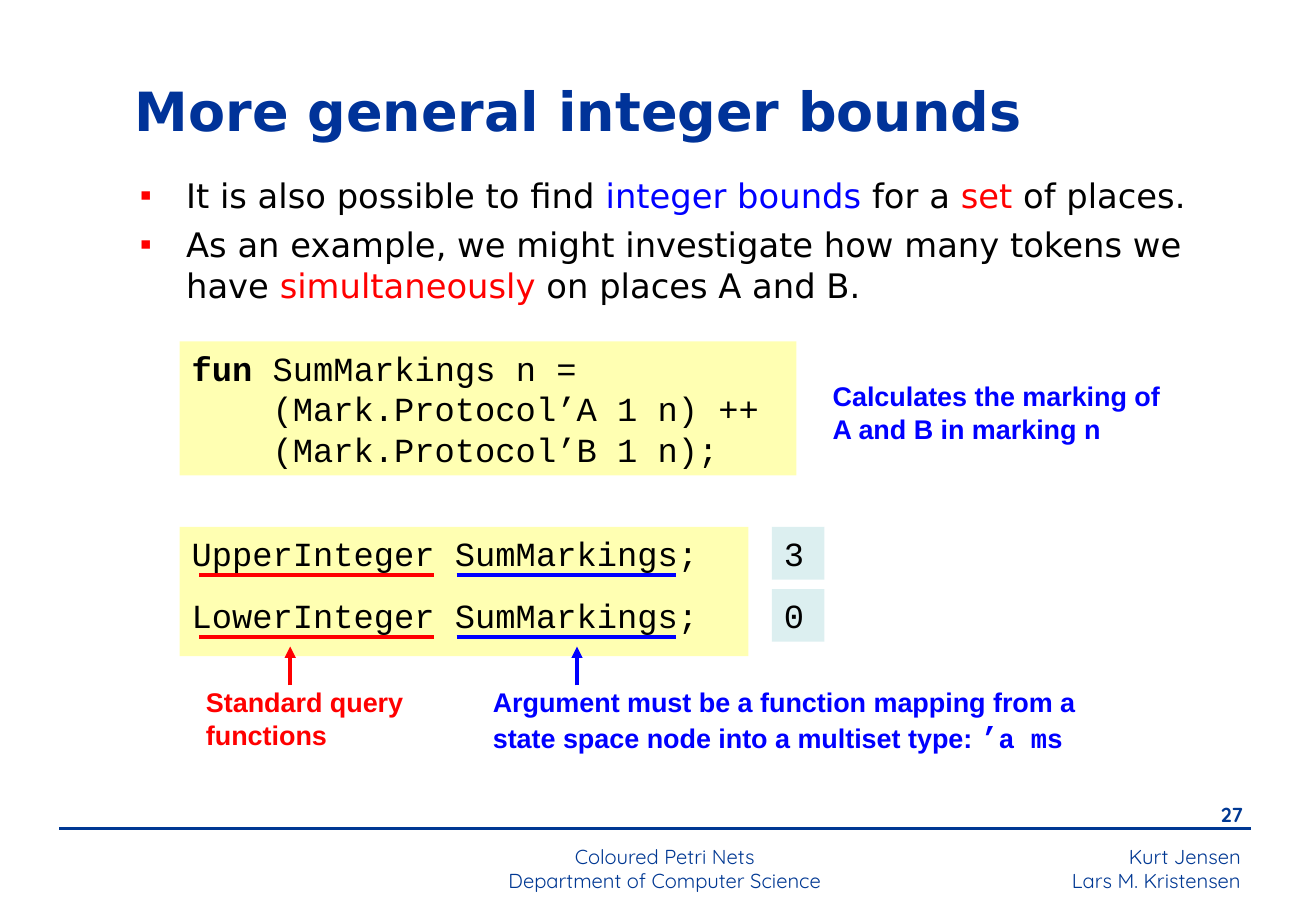
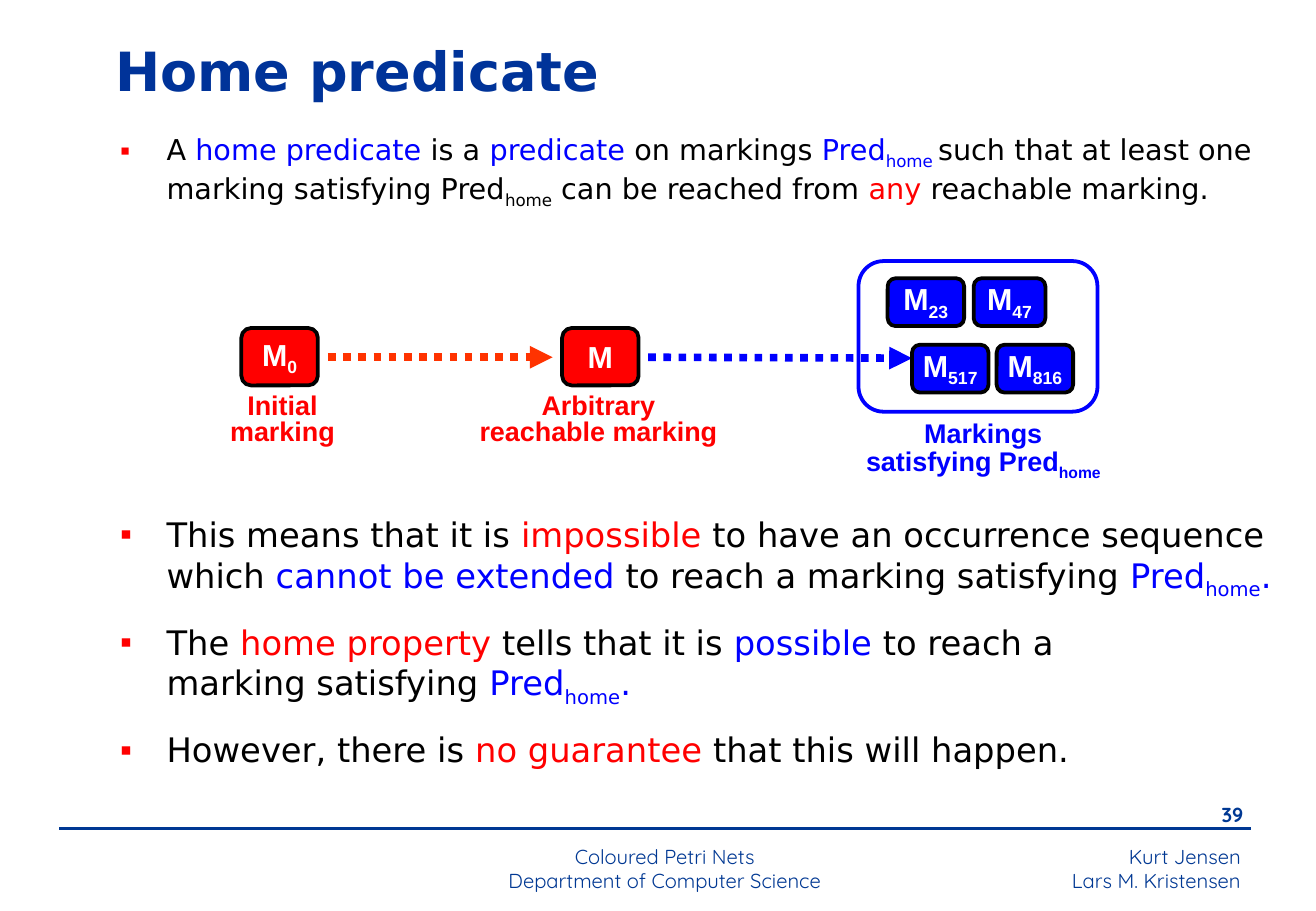
from dataclasses import dataclass

from lxml import etree
from pptx import Presentation
from pptx.dml.color import RGBColor
from pptx.enum.dml import MSO_LINE
from pptx.enum.shapes import MSO_CONNECTOR, MSO_SHAPE as Preset
from pptx.enum.text import MSO_ANCHOR as Anchor, MSO_AUTO_SIZE, PP_ALIGN as Align
from pptx.oxml.ns import qn
from pptx.util import Cm, Pt


@dataclass(frozen=True)
class TextStyle:
    font: str
    size: float
    color: str = "000000"
    bold: bool = False


@dataclass(frozen=True)
class Theme:
    navy: str = "003893"
    red: str = "FF0000"
    orange: str = "FF3300"
    blue: str = "0000FF"
    black: str = "000000"
    yellow: str = "FFFF66"
    teal: str = "BBE0E3"
    title: TextStyle = TextStyle("DejaVu Sans", 32, "003399", True)
    body: TextStyle = TextStyle("DejaVu Sans", 20)
    small_body: TextStyle = TextStyle("DejaVu Sans", 17)
    code: TextStyle = TextStyle("Courier New", 20)
    red_note: TextStyle = TextStyle("Arial", 16, "FF0000", True)
    blue_note: TextStyle = TextStyle("Arial", 16, "0000FF", True)
    state: TextStyle = TextStyle("Arial", 18, "FFFFFF", True)
    footer: TextStyle = TextStyle("Quicksand", 12, "003893")
    number: TextStyle = TextStyle("Quicksand", 12, "003893", True)
    quote_size: float = 18
    thin: float = 1.5
    medium: float = 2.25
    thick: float = 4.5


theme = Theme()


def write(box, paragraphs, style, align=Align.LEFT, before=0, spacing=None,
          bullet=False, anchor=Anchor.TOP, wrap=True):
    """Fill a box; a span is plain text or (text, words that mark it)."""
    frame = box.text_frame
    frame.auto_size = MSO_AUTO_SIZE.NONE
    frame.word_wrap = wrap
    frame.vertical_anchor = anchor
    for index, spans in enumerate(paragraphs):
        para = frame.add_paragraph() if index else frame.paragraphs[0]
        para.alignment = align
        para.space_before = Pt(before if index else 0)
        if spacing:
            para.line_spacing = spacing
        if bullet:
            props = para._p.get_or_add_pPr()
            props.set("marL", str(Cm(0.97)))
            props.set("indent", str(Cm(-0.97)))
            bullet_color = etree.SubElement(props, qn("a:buClr"))
            etree.SubElement(bullet_color, qn("a:srgbClr"), val=theme.red)
            etree.SubElement(props, qn("a:buChar"), char="▪")
        para.font.name = style.font
        para.font.size = Pt(style.size)
        para.font.bold = style.bold
        para.font.color.rgb = RGBColor.from_string(style.color)
        for item in [spans] if isinstance(spans, str) else spans:
            text, marks = (item, "") if isinstance(item, str) else item
            for part_index, part in enumerate(text.split("\n")):
                if part_index:
                    para.add_line_break()
                span = para.add_run()
                span.text = part
                for mark in marks.split():
                    if mark == "sub":
                        span._r.get_or_add_rPr().set("baseline", "-25000")
                    elif mark == "bold":
                        span.font.bold = True
                    elif mark == "code":
                        span.font.name = theme.code.font
                    elif mark == "quote":
                        span.font.size = Pt(theme.quote_size)
                    else:
                        span.font.color.rgb = RGBColor.from_string(getattr(theme, mark))


def draw_line(page, start, end, color, width, arrow=False, dash=None):
    line = page.shapes.add_connector(
        MSO_CONNECTOR.STRAIGHT, *(Cm(value) for value in (*start, *end)))
    line.line.color.rgb = RGBColor.from_string(color)
    line.line.width = Pt(width)
    if dash:
        line.line.dash_style = dash
    props = line._element.spPr
    if arrow:
        etree.SubElement(props.find(qn("a:ln")), qn("a:tailEnd"), type="triangle")
    etree.SubElement(props, qn("a:effectLst"))


deck = Presentation()
deck.slide_width, deck.slide_height = Cm(27.53), Cm(19.05)

# Titles and lists: layout, title, title place, lists of (place, style, gap, paragraphs)
outlines = [
    ("Title and Content", "27", "More general integer bounds", (2.57, 1.42, 21, 1.75), [
        ((2.67, 3.53, 22.6, 3.2), theme.body, 5, [
            ["It is also possible to find ", ("integer bounds", "blue"), " for a ",
             ("set", "red"), " of places."],
            ["As an example, we might investigate how many tokens we have ",
             ("simultaneously", "red"), " on places A and B."],
        ]),
    ]),
    ("Two Content", "39", "Home predicate", (2.16, 0.41, 23.4, 2.1), [
        ((2.26, 2.62, 24.4, 2.8), theme.small_body, 0, [
            ["A ", ("home predicate", "blue"), " is a ", ("predicate ", "blue"),
             "on markings ", ("Pred", "blue"), ("home ", "blue sub"),
             "such that at least one marking satisfying Pred", ("home", "sub"),
             " can be reached from ", ("any", "red"), " reachable marking."],
        ]),
        ((2.26, 10.62, 24.8, 5.8), theme.body, 12.5, [
            ["This means that it is ", ("impossible", "red"),
             " to have an occurrence sequence which ", ("cannot be extended", "blue"),
             " to reach a marking satisfying ", ("Pred", "blue"),
             ("home", "blue sub"), (".", "blue")],
            ["The ", ("home property", "red"), " tells that it is ", ("possible", "blue"),
             " to reach a\nmarking satisfying ", ("Pred", "blue"),
             ("home", "blue sub"), (".", "blue")],
            ["However, there is ", ("no guarantee", "red"), " that this will happen."],
        ]),
    ]),
]

pages = []
for layout, number, title, title_place, lists in outlines:
    page = deck.slides.add_slide(deck.slide_layouts.get_by_name(layout))
    pages.append(page)

    # Footer
    draw_line(page, (1.24, 17.32), (26.16, 17.32), theme.navy, theme.thin)
    for place, paragraphs, style, align in [
        ((17.65, 17.53, 8.56, 1.27), ["Kurt Jensen", "Lars M. Kristensen"],
         theme.footer, Align.RIGHT),
        ((24.46, 16.66, 1.8, 0.84), [number], theme.number, Align.RIGHT),
        ((8.66, 17.53, 10.5, 1.2), ["Coloured Petri Nets", "Department of Computer Science"],
         theme.footer, Align.CENTER),
    ]:
        box = page.shapes.add_textbox(*map(Cm, place))
        write(box, paragraphs, style, align)

    # Title and lists
    heading, *bodies = page.placeholders
    heading.left, heading.top, heading.width, heading.height = map(Cm, title_place)
    write(heading, [title], theme.title, anchor=Anchor.MIDDLE)
    for body, (place, style, gap, paragraphs) in zip(bodies, lists):
        body.left, body.top, body.width, body.height = map(Cm, place)
        write(body, paragraphs, style, before=gap, bullet=True)

bounds_page, home_page = pages

# Code and results
row_step = 1.3
code_left, query_top = 3.76, 11.02
for place, color, gap, paragraphs in [
    ((code_left, 7.14, 12.9, 2.8), theme.yellow, 0, [
        [("fun", "bold"), " SumMarkings n ="],
        "    (Mark.Protocol’A 1 n) ++",
        "    (Mark.Protocol’B 1 n);"]),
    ((code_left, query_top, 11.9, 2.7), theme.yellow, 12.5,
     ["UpperInteger SumMarkings;", "LowerInteger SumMarkings;"]),
    ((16.15, query_top, 1.1, 1.1), theme.teal, 0, ["3"]),
    ((16.15, query_top + row_step, 1.1, 1.1), theme.teal, 0, ["0"]),
]:
    box = bounds_page.shapes.add_shape(Preset.RECTANGLE, *map(Cm, place))
    box.shadow.inherit = False
    box.line.fill.background()
    box.fill.solid()
    box.fill.fore_color.rgb = RGBColor.from_string(color)
    fill_color = box._element.spPr.find(qn("a:solidFill")).find(qn("a:srgbClr"))
    etree.SubElement(fill_color, qn("a:alpha"), val="50000")
    write(box, paragraphs, theme.code, before=gap)

# Underlines, and an arrow from each note to its column
for left, right, arrow_x, color in [(4.17, 9.07, 6.07, theme.red),
                                    (9.55, 14.15, 12.07, theme.blue)]:
    for row in range(2):
        y = 12.02 + row * row_step
        draw_line(bounds_page, (left, y), (right, y), color, theme.medium)
    draw_line(bounds_page, (arrow_x, 14.33), (arrow_x, 13.52), color, theme.medium, arrow=True)

# Dotted arrows between markings
for start, end, color in [((6.86, 7.47), (11.56, 7.47), theme.orange),
                          ((13.56, 7.47), (19.08, 7.49), theme.blue)]:
    draw_line(home_page, start, end, color, theme.thick, arrow=True, dash=MSO_LINE.ROUND_DOT)

# Notes on both slides
for page, place, spans, style, align, spacing in [
    (bounds_page, (17.17, 7.82, 7.7, 1.63),
     "Calculates the marking of A and B in marking n", theme.blue_note, Align.LEFT, None),
    (bounds_page, (4.06, 14.22, 5.1, 1.63),
     "Standard query functions", theme.red_note, Align.LEFT, None),
    (bounds_page, (10.06, 14.22, 13.3, 1.7),
     ["Argument must be a function mapping from a state space node into a multiset type: ",
      ("’", "code quote"), ("a ms", "code")], theme.blue_note, Align.LEFT, None),
    (home_page, (3.86, 8.13, 4.1, 1.35),
     "Initial\nmarking", theme.red_note, Align.CENTER, 0.8),
    (home_page, (9.37, 8.13, 6.3, 1.35),
     "Arbitrary\nreachable marking", theme.red_note, Align.CENTER, 0.8),
    (home_page, (16.87, 8.71, 7.4, 1.42),
     ["Markings\nsatisfying Pred", ("home", "sub")], theme.blue_note, Align.CENTER, 0.8),
]:
    box = page.shapes.add_textbox(*map(Cm, place))
    write(box, [spans], style, align, spacing=spacing)

# Markings, and the frame round those that satisfy the predicate
for place, color, spans, spacing in [
    ((5.05, 6.86, 1.6, 1.2), theme.red, ["M", ("0", "sub")], None),
    ((11.76, 6.86, 1.6, 1.2), theme.red, ["M"], None),
    ((17.96, 5.46, 5, 3.15), None, None, None),
    ((18.57, 5.82, 1.6, 1), theme.blue, ["M", ("23", "sub")], 0.7),
    ((20.37, 5.82, 1.5, 1), theme.blue, ["M", ("47", "sub")], 0.7),
    ((19.08, 7.21, 1.6, 1), theme.blue, ["M", ("517", "sub")], 0.7),
    ((20.85, 7.21, 1.6, 1), theme.blue, ["M", ("816", "sub")], 0.7),
]:
    box = home_page.shapes.add_shape(Preset.ROUNDED_RECTANGLE, *map(Cm, place))
    box.shadow.inherit = False
    box.line.width = Pt(theme.medium)
    box.line.color.rgb = RGBColor.from_string(theme.black if color else theme.blue)
    if color:
        box.fill.solid()
        box.fill.fore_color.rgb = RGBColor.from_string(color)
        write(box, [spans], theme.state, Align.CENTER, spacing=spacing,
              anchor=Anchor.MIDDLE, wrap=False)
    else:
        box.fill.background()

deck.save("out.pptx")
